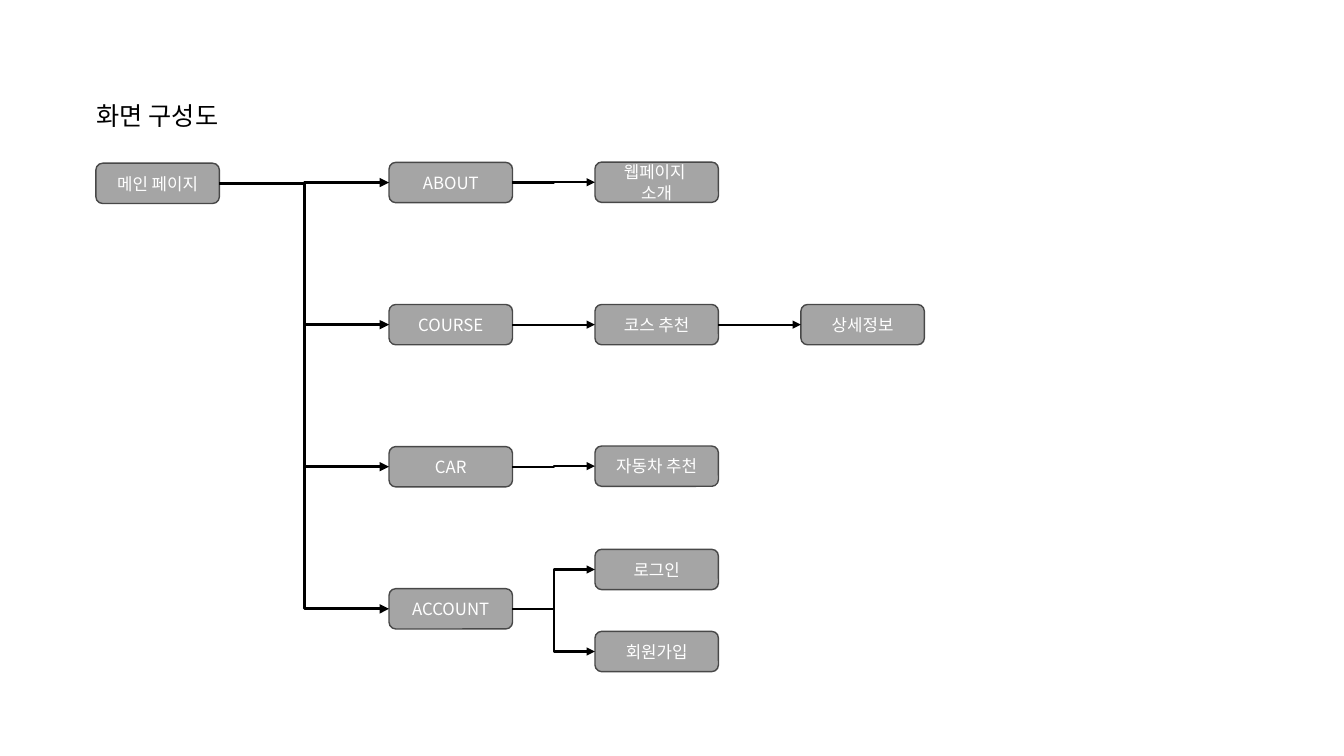
from dataclasses import dataclass

from pptx import Presentation
from pptx.dml.color import RGBColor
from pptx.enum.shapes import MSO_CONNECTOR, MSO_SHAPE
from pptx.enum.text import MSO_ANCHOR, PP_ALIGN
from pptx.oxml.ns import qn
from pptx.shapes.autoshape import Shape
from pptx.shapes.connector import Connector
from pptx.slide import Slide
from pptx.util import Pt
from lxml.etree import SubElement

COLORS = {
    "box": "A5A5A5",
    "border": "484848",
    "label": "FFFFFF",
    "title": "000000",
    "arrow": "000000",
}
FONT = "Noto Sans CJK KR"
BOX_WIDTH, BOX_HEIGHT = 88.2, 28.8
MAIN_LEFT, MENU_LEFT, COLUMN_STEP = 68.5, 277.9, 147.1
FIRST_ROW, ROW_STEP = 130.4, 101.5
RIGHT_SIDE, LEFT_SIDE = 3, 1


@dataclass(frozen=True)
class ScreenBox:
    label: str
    left: float
    middle: float


@dataclass(frozen=True)
class Arrow:
    source: str
    target: str
    weight: float


def column(index: int) -> float:
    return MENU_LEFT + index * COLUMN_STEP


def row(index: int) -> float:
    return FIRST_ROW + index * ROW_STEP


MAIN = "메인 페이지"
MENUS = ("ABOUT", "COURSE", "CAR", "ACCOUNT")
INTRODUCTION = "웹페이지 \n소개"

SCREENS = [
    ScreenBox(MAIN, MAIN_LEFT, 131),
    *(ScreenBox(menu, column(0), row(index)) for index, menu in enumerate(MENUS)),
    ScreenBox(INTRODUCTION, column(1), 130.2),
    ScreenBox("코스 추천", column(1), row(1)),
    ScreenBox("자동차 추천", column(1), 333),
    ScreenBox("로그인", column(1), 406.8),
    ScreenBox("회원가입", column(1), 465.4),
    ScreenBox("상세정보", column(2), row(1)),
]

ARROWS = [
    *(Arrow(MAIN, menu, 2.25) for menu in MENUS),
    Arrow("ABOUT", INTRODUCTION, 1.5),
    Arrow("COURSE", "코스 추천", 1.5),
    Arrow("코스 추천", "상세정보", 1.5),
    Arrow("CAR", "자동차 추천", 1.5),
    Arrow("ACCOUNT", "로그인", 1.5),
    Arrow("ACCOUNT", "회원가입", 1.5),
]


def color(name: str) -> RGBColor:
    return RGBColor.from_string(COLORS[name])


def write_text(box: Shape, text: str, size: float, color_name: str) -> None:
    frame = box.text_frame
    frame.word_wrap = True
    frame.vertical_anchor = MSO_ANCHOR.MIDDLE
    frame.text = text
    for paragraph in frame.paragraphs:
        paragraph.alignment = PP_ALIGN.CENTER
        for span in paragraph.runs:
            span.font.size = Pt(size)
            span.font.name = FONT
            span.font.color.rgb = color(color_name)
            east_asian = SubElement(span.font._element, qn("a:ea"))
            east_asian.set("typeface", FONT)


def draw_screen(page: Slide, screen: ScreenBox) -> Shape:
    box = page.shapes.add_shape(
        MSO_SHAPE.ROUNDED_RECTANGLE,
        Pt(screen.left),
        Pt(screen.middle - BOX_HEIGHT / 2),
        Pt(BOX_WIDTH),
        Pt(BOX_HEIGHT),
    )
    box.shadow.inherit = False
    box.fill.solid()
    box.fill.fore_color.rgb = color("box")
    box.line.color.rgb = color("border")
    box.line.width = Pt(1)
    write_text(box, screen.label, 12, "label")
    return box


def draw_arrow(page: Slide, arrow: Arrow, boxes: dict[str, Shape]) -> Connector:
    source, target = boxes[arrow.source], boxes[arrow.target]
    connector = page.shapes.add_connector(
        MSO_CONNECTOR.ELBOW,
        source.left + source.width,
        source.top + source.height // 2,
        target.left,
        target.top + target.height // 2,
    )
    connector.begin_connect(source, RIGHT_SIDE)
    connector.end_connect(target, LEFT_SIDE)
    connector.line.color.rgb = color("arrow")
    connector.line.width = Pt(arrow.weight)
    properties = connector._element.spPr
    arrowhead = SubElement(properties.find(qn("a:ln")), qn("a:tailEnd"))
    arrowhead.set("type", "triangle")
    SubElement(properties, qn("a:effectLst"))
    return connector


def main() -> None:
    deck = Presentation()
    deck.slide_width, deck.slide_height = Pt(960), Pt(540)
    page = deck.slides.add_slide(deck.slide_layouts[6])

    title = page.shapes.add_textbox(Pt(57), Pt(52), Pt(111), Pt(60.5))
    write_text(title, "화면 구성도", 18, "title")

    boxes = {screen.label: draw_screen(page, screen) for screen in SCREENS}
    for arrow in ARROWS:
        draw_arrow(page, arrow, boxes)

    deck.save("out.pptx")


if __name__ == "__main__":
    main()
